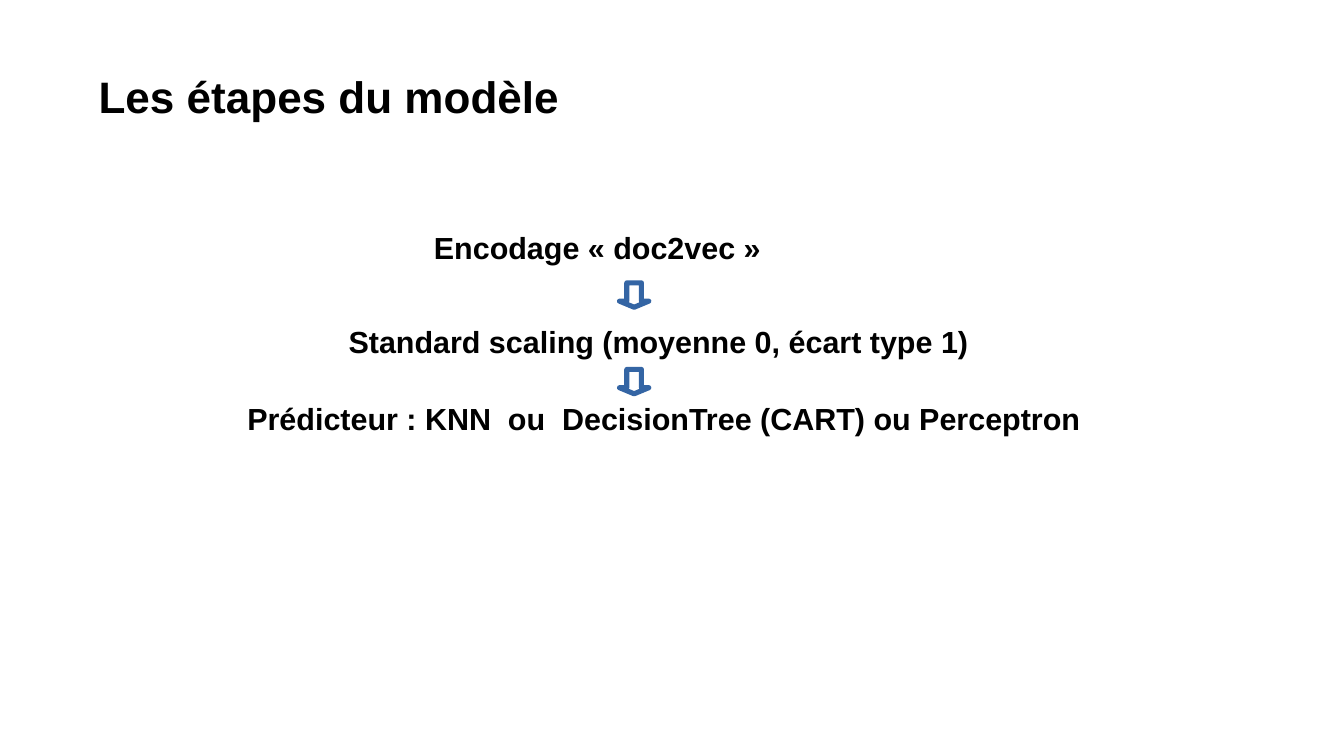
from dataclasses import dataclass

from pptx import Presentation
from pptx import util as u
from pptx.dml.color import RGBColor
from pptx.enum import shapes, text
from pptx.slide import Slide


@dataclass(frozen=True)
class Label:
    wording: str
    left: float
    top: float
    width: float
    height: float = 0.38
    size: int = 18


@dataclass(frozen=True)
class Arrow:
    top: float
    left: float = 5.08
    width: float = 0.24
    height: float = 0.2


LABELS = [
    Label("Les étapes du modèle", 0.71, 0.52, 4.02, 0.5, 26),
    Label("Encodage « doc2vec »", 3.46, 1.83, 3.44),
    Label("Standard scaling (moyenne 0, écart type 1)", 2.76, 2.6, 5.34),
    Label("Prédicteur : KNN  ou  DecisionTree (CART) ou Perceptron", 1.93, 3.23, 7.1),
]
ARROWS = [Arrow(2.32), Arrow(3.03)]


def color(value: str) -> RGBColor:
    return RGBColor.from_string(value)


def draw_label(page: Slide, label: Label) -> None:
    box = page.shapes.add_textbox(
        u.Inches(label.left), u.Inches(label.top),
        u.Inches(label.width), u.Inches(label.height),
    )
    frame = box.text_frame
    frame.word_wrap = True
    frame.auto_size = text.MSO_AUTO_SIZE.NONE
    frame.text = label.wording
    font = frame.paragraphs[0].runs[0].font
    font.name = "Arial"
    font.size = u.Pt(label.size)
    font.bold = True
    font.color.rgb = color("000000")


def draw_arrow(page: Slide, arrow: Arrow) -> None:
    shape = page.shapes.add_shape(
        shapes.MSO_SHAPE.DOWN_ARROW,
        u.Inches(arrow.left), u.Inches(arrow.top),
        u.Inches(arrow.width), u.Inches(arrow.height),
    )
    shape.adjustments[0] = 0.5
    shape.adjustments[1] = 0.25
    shape.shadow.inherit = False
    shape.fill.solid()
    shape.fill.fore_color.rgb = color("FFFFFF")
    shape.line.color.rgb = color("3465A4")
    shape.line.width = u.Pt(3)


def main() -> None:
    deck = Presentation()
    deck.slide_width = u.Inches(11.02)
    deck.slide_height = u.Inches(6.2)
    page = deck.slides.add_slide(deck.slide_layouts[6])
    for label in LABELS:
        draw_label(page, label)
    for arrow in ARROWS:
        draw_arrow(page, arrow)
    deck.save("out.pptx")


if __name__ == "__main__":
    main()
